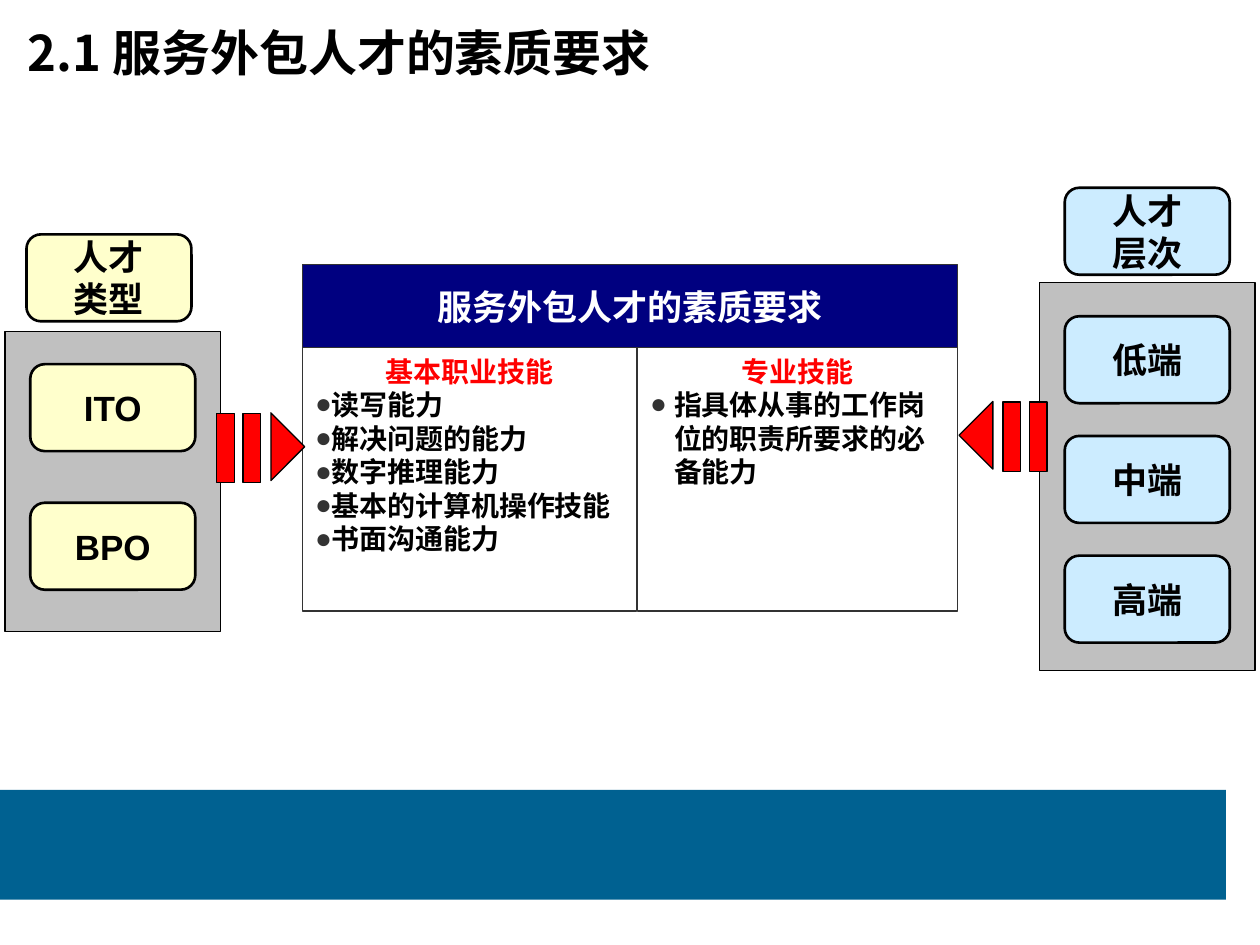
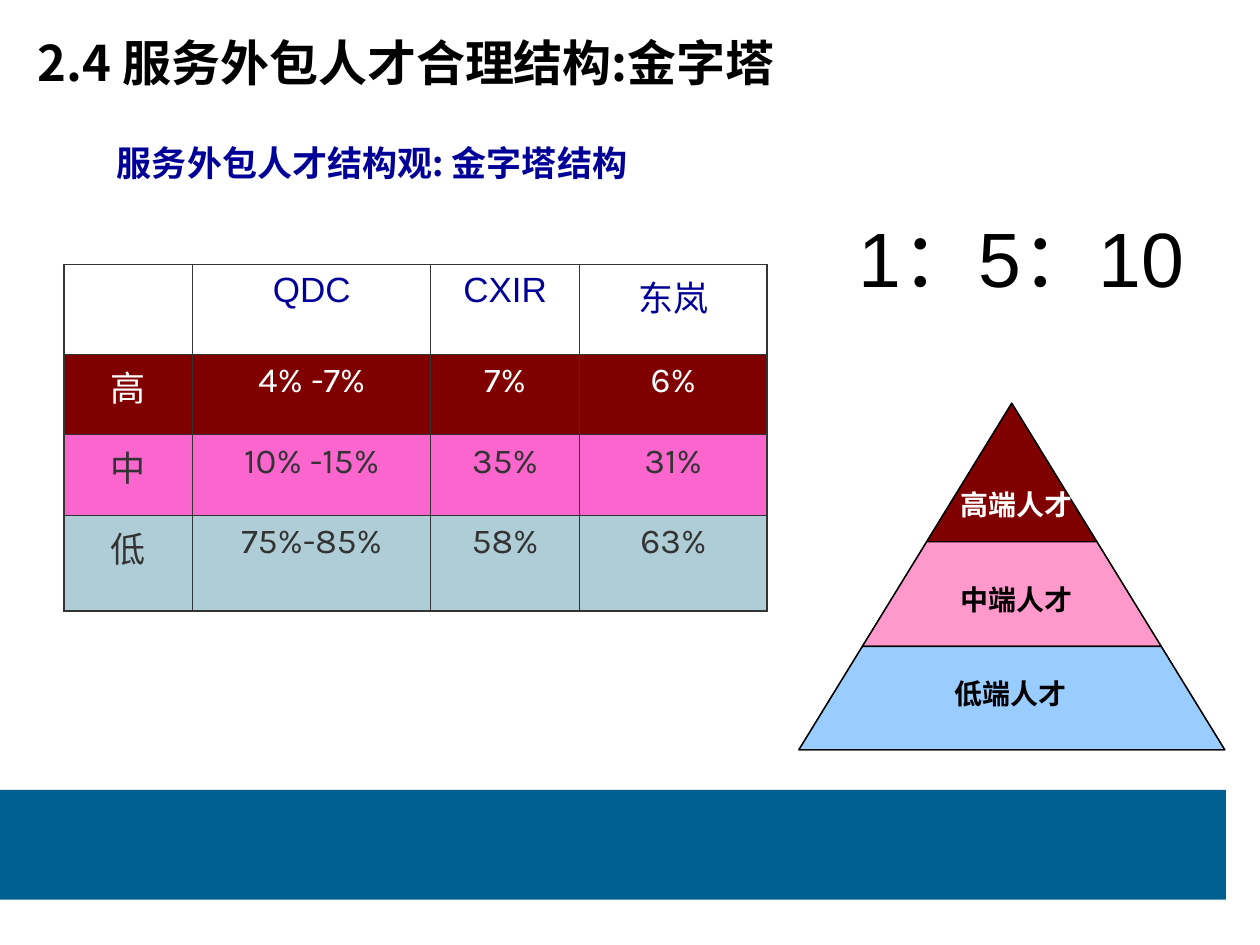
"""Build two slides on the skills and the pyramid structure of outsourcing talent."""
import lxml.etree
import pptx
import pptx.dml.color
import pptx.enum.shapes
import pptx.enum.text
import pptx.oxml.ns
import pptx.util

CJK_FONT = "Noto Sans CJK SC"
BLACK, WHITE, RED, GREY = "000000", "FFFFFF", "FF0000", "333333"
NAVY, MAROON, BLUE = "000080", "800000", "000099"
YELLOW, SKY, SILVER, BAND_BLUE = "FFFFCC", "CCECFF", "C0C0C0", "006191"
LEFT = pptx.enum.text.PP_ALIGN.LEFT
CENTER = pptx.enum.text.PP_ALIGN.CENTER
TOP = pptx.enum.text.MSO_ANCHOR.TOP
MIDDLE = pptx.enum.text.MSO_ANCHOR.MIDDLE
FIXED = pptx.enum.text.MSO_AUTO_SIZE.NONE
RECTANGLE = pptx.enum.shapes.MSO_SHAPE.RECTANGLE
ROUNDED = pptx.enum.shapes.MSO_SHAPE.ROUNDED_RECTANGLE
RIGHT_TRIANGLE = pptx.enum.shapes.MSO_SHAPE.RIGHT_TRIANGLE
qn = pptx.oxml.ns.qn


def paint(fill, color):
    """Give a shape, line, font or cell fill a solid hex colour, or none."""
    if color is None:
        fill.background()
    else:
        fill.solid()
        fill.fore_color.rgb = pptx.dml.color.RGBColor.from_string(color)


def write(paragraph, text, size, color, font=CJK_FONT, bold=True, alignment=CENTER):
    """Add one formatted run to a paragraph."""
    paragraph.alignment = alignment
    run = paragraph.add_run()
    run.text = text
    run.font.size = pptx.util.Pt(size)
    run.font.bold = bold
    run.font.name = font
    paint(run.font.fill, color)
    properties = run._r.get_or_add_rPr()
    properties.set("lang", "zh-CN")
    lxml.etree.SubElement(properties, qn("a:ea"), typeface=CJK_FONT)


presentation = pptx.Presentation()
presentation.slide_width = pptx.util.Inches(10)
presentation.slide_height = pptx.util.Inches(7.5)
UNIT = presentation.slide_width // 100

skills_slide = presentation.slides.add_slide(presentation.slide_layouts[3])
pyramid_slide = presentation.slides.add_slide(presentation.slide_layouts[5])

band = skills_slide.shapes.add_shape(RECTANGLE, 0, round(62.7 * UNIT), round(97.3 * UNIT), round(8.7 * UNIT))
band.shadow.inherit = False
paint(band.fill, BAND_BLUE)
paint(band.line.fill, None)
band.element.nvSpPr.cNvPr.set("id", "20")
presentation.slide_master.shapes.element.insert(2, band.element)

titles = [
    (skills_slide, 1.2, 1.3, "2.1 服务外包人才的素质要求"),
    (pyramid_slide, 2, 2.1, "2.4 服务外包人才合理结构:金字塔"),
]
for slide, left, top, text in titles:
    title = slide.shapes.title
    title.left, title.top = round(left * UNIT), round(top * UNIT)
    title.width, title.height = round(92.9 * UNIT), round(5.7 * UNIT)
    title.text_frame.auto_size = FIXED
    title.text_frame.vertical_anchor = TOP
    write(title.text_frame.paragraphs[0], text, 28, BLACK, alignment=LEFT)

skill_lists = [
    (24, 26.5, 0.1, "基本职业技能",
     ["读写能力", "解决问题的能力", "数字推理能力", "基本的计算机操作技能", "书面沟通能力"]),
    (50.6, 25.4, 0.19, "专业技能", ["指具体从事的工作岗位的职责所要求的必备能力"]),
]
for body, (left, width, indent, heading, skills) in zip(list(skills_slide.placeholders)[1:], skill_lists):
    body.left, body.top = round(left * UNIT), round(27.6 * UNIT)
    body.width, body.height = round(width * UNIT), round(20.9 * UNIT)
    paint(body.line.fill, GREY)
    body.line.width = pptx.util.Pt(0.75)
    body.text_frame.auto_size = FIXED
    for index, text in enumerate([heading] + skills):
        paragraph = body.text_frame.paragraphs[0] if index == 0 else body.text_frame.add_paragraph()
        properties = paragraph._p.get_or_add_pPr()
        properties.set("marL", str(pptx.util.Inches(indent)))
        properties.set("indent", str(-pptx.util.Inches(indent)))
        if index == 0:
            lxml.etree.SubElement(properties, qn("a:buNone"))
            write(paragraph, text, 16, RED, "Arial")
        else:
            bullet_color = lxml.etree.SubElement(properties, qn("a:buClr"))
            lxml.etree.SubElement(bullet_color, qn("a:srgbClr"), val=GREY)
            lxml.etree.SubElement(properties, qn("a:buChar"), char="●")
            write(paragraph, text, 16, BLACK, alignment=LEFT)
        paragraph.space_before = pptx.util.Pt(0)

blocks = [(RECTANGLE, 24, 21, 52, 6.6, 0, NAVY, GREY, 0.75, ["服务外包人才的素质要求"], WHITE, "Karla")]
sides = [
    (0.4, 26.3, 23.8, YELLOW, (2.1, 18.6), ["人才", "类型"], 28.9, 11, ["ITO", "BPO"],
     (17.2, 19.3), 32.8, 19.6, 225),
    (82.5, 22.4, 30.8, SKY, (84.5, 14.9), ["人才", "层次"], 25.1, 9.5, ["低端", "中端", "高端"],
     (81.7, 79.6), 31.9, 76.9, 45),
]
for (panel_left, panel_top, panel_height, color, caption_corner, caption, first_top, pitch, names,
     bar_lefts, bar_top, head_left, head_rotation) in sides:
    blocks.append((RECTANGLE, panel_left, panel_top, 17.1, panel_height, 0, SILVER, BLACK, 0.75, [], BLACK, "Arial"))
    cards = [(*caption_corner, caption)]
    cards += [(panel_left + 2, first_top + row * pitch, [name]) for row, name in enumerate(names)]
    for left, top, lines in cards:
        blocks.append((ROUNDED, left, top, 13.1, 6.9, 0, color, BLACK, 1.5, lines, BLACK, "Arial"))
    for left in bar_lefts:
        blocks.append((RECTANGLE, left, bar_top, 1.4, 5.5, 0, RED, BLACK, 0.75, [], BLACK, "Arial"))
    blocks.append((RIGHT_TRIANGLE, head_left, bar_top + 0.75, 3.8, 3.8, head_rotation,
                   RED, BLACK, 0.75, [], BLACK, "Arial"))

for kind, left, top, width, height, rotation, fill, line, weight, lines, text_color, font in blocks:
    shape = skills_slide.shapes.add_shape(kind, *(round(length * UNIT) for length in (left, top, width, height)))
    shape.shadow.inherit = False
    shape.rotation = rotation
    paint(shape.fill, fill)
    paint(shape.line.fill, line)
    shape.line.width = pptx.util.Pt(weight)
    shape.text_frame.vertical_anchor = MIDDLE
    for index, text in enumerate(lines):
        paragraph = shape.text_frame.paragraphs[0] if index == 0 else shape.text_frame.add_paragraph()
        write(paragraph, text, 20, text_color, font)

APEX, PEAK, BASE, HALF_BASE = 80.3, 32, 59.5, 16.9
tiers = [
    (PEAK, 43, MAROON, 0),
    (43, 51.3, "FF99CC", 0),
    (51.3, BASE, "99CCFF", 0),
    (PEAK, BASE, None, 0.75),
]
for top, bottom, color, weight in tiers:
    upper, lower = ((level - PEAK) * HALF_BASE / (BASE - PEAK) for level in (top, bottom))
    corners = [(APEX - upper, top), (APEX - lower, bottom), (APEX + lower, bottom), (APEX + upper, top)]
    points = [(round(x * UNIT), round(y * UNIT)) for x, y in corners]
    builder = pyramid_slide.shapes.build_freeform(*points[0])
    builder.add_line_segments(points[1:], close=True)
    tier = builder.convert_to_shape()
    tier.shadow.inherit = False
    paint(tier.fill, color)
    paint(tier.line.fill, BLACK)
    tier.line.width = pptx.util.Pt(weight)

labels = [
    (75.1, 39.5, 11.2, 2.4, "高端人才", 16, WHITE, "Arial", True, CENTER, 10, 0.05),
    (75.1, 47, 11.2, 2.4, "中端人才", 16, BLACK, "Arial", True, CENTER, 10, 0.05),
    (74.6, 54.5, 11.2, 2.4, "低端人才", 16, BLACK, "Arial", True, CENTER, 10, 0.05),
    (8.3, 10.7, 45.7, 4.4, "服务外包人才结构观: 金字塔结构", 20, BLUE, CJK_FONT, True, LEFT, None, 0.1),
    (66.5, 16.2, 29.1, 15.7, "1：5：10", 44, BLACK, "Arial", False, CENTER, None, 0.1),
]
for left, top, width, height, text, size, color, font, bold, alignment, spacing, inset in labels:
    label = pyramid_slide.shapes.add_textbox(*(round(length * UNIT) for length in (left, top, width, height)))
    frame = label.text_frame
    frame.word_wrap = True
    frame.margin_left = frame.margin_right = pptx.util.Inches(inset)
    write(frame.paragraphs[0], text, size, color, font, bold, alignment)
    if spacing:
        frame.paragraphs[0].line_spacing = pptx.util.Pt(spacing)

column_widths = [10.2, 18.9, 11.8, 14.9]
share_rows = [
    (7.1, None, BLUE, "Arial", ["", "QDC", "CXIR", "东岚"]),
    (6.4, MAROON, WHITE, "Karla", ["高", "4% -7%", "7%", "6%"]),
    (6.4, "FA66CD", GREY, "Karla", ["中", "10% -15%", "35%", "31%"]),
    (7.6, "AFCDD7", GREY, "Karla", ["低", "75%-85%", "58%", "63%"]),
]
table = pyramid_slide.shapes.add_table(
    len(share_rows), len(column_widths), *(round(length * UNIT) for length in (5.1, 21, 55.9, 27.6))).table
table.first_row = table.horz_banding = False
for column, width in zip(table.columns, column_widths):
    column.width = round(width * UNIT)
for row_index, (height, fill, text_color, font, texts) in enumerate(share_rows):
    table.rows[row_index].height = round(height * UNIT)
    for column_index, text in enumerate(texts):
        cell = table.cell(row_index, column_index)
        outer_edges = {
            "a:lnL": column_index == 0,
            "a:lnR": column_index == len(texts) - 1,
            "a:lnT": row_index == 0,
            "a:lnB": row_index == len(share_rows) - 1,
        }
        for edge, outer in outer_edges.items():
            weight = pptx.util.Pt(1.08 if outer else 0.45)
            border = lxml.etree.SubElement(cell._tc.get_or_add_tcPr(), qn(edge), w=str(weight))
            border_fill = lxml.etree.SubElement(border, qn("a:solidFill"))
            lxml.etree.SubElement(border_fill, qn("a:srgbClr"), val=GREY)
        paint(cell.fill, fill)
        if text:
            write(cell.text_frame.paragraphs[0], text, 20, text_color, font, False)

presentation.save("out.pptx")
